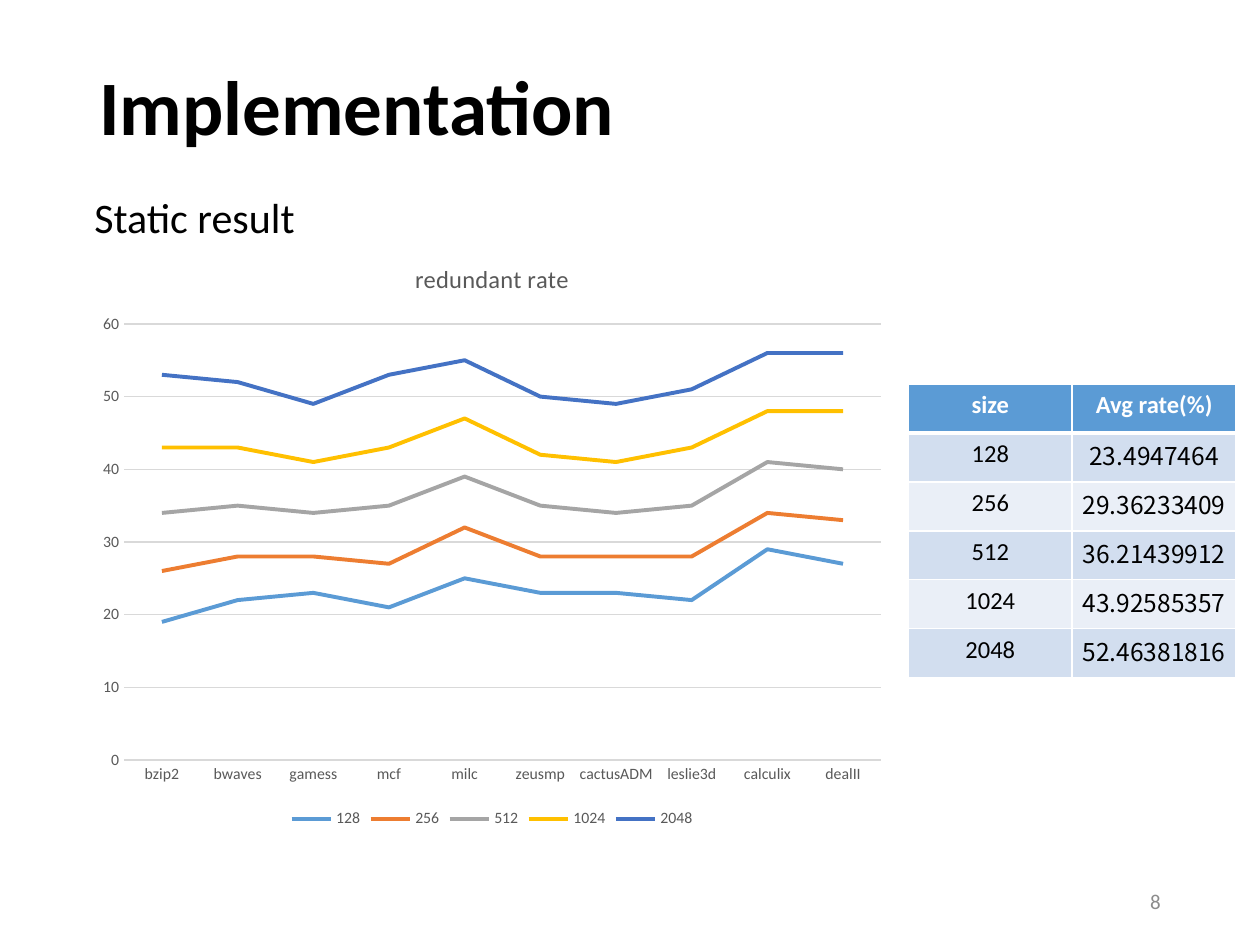
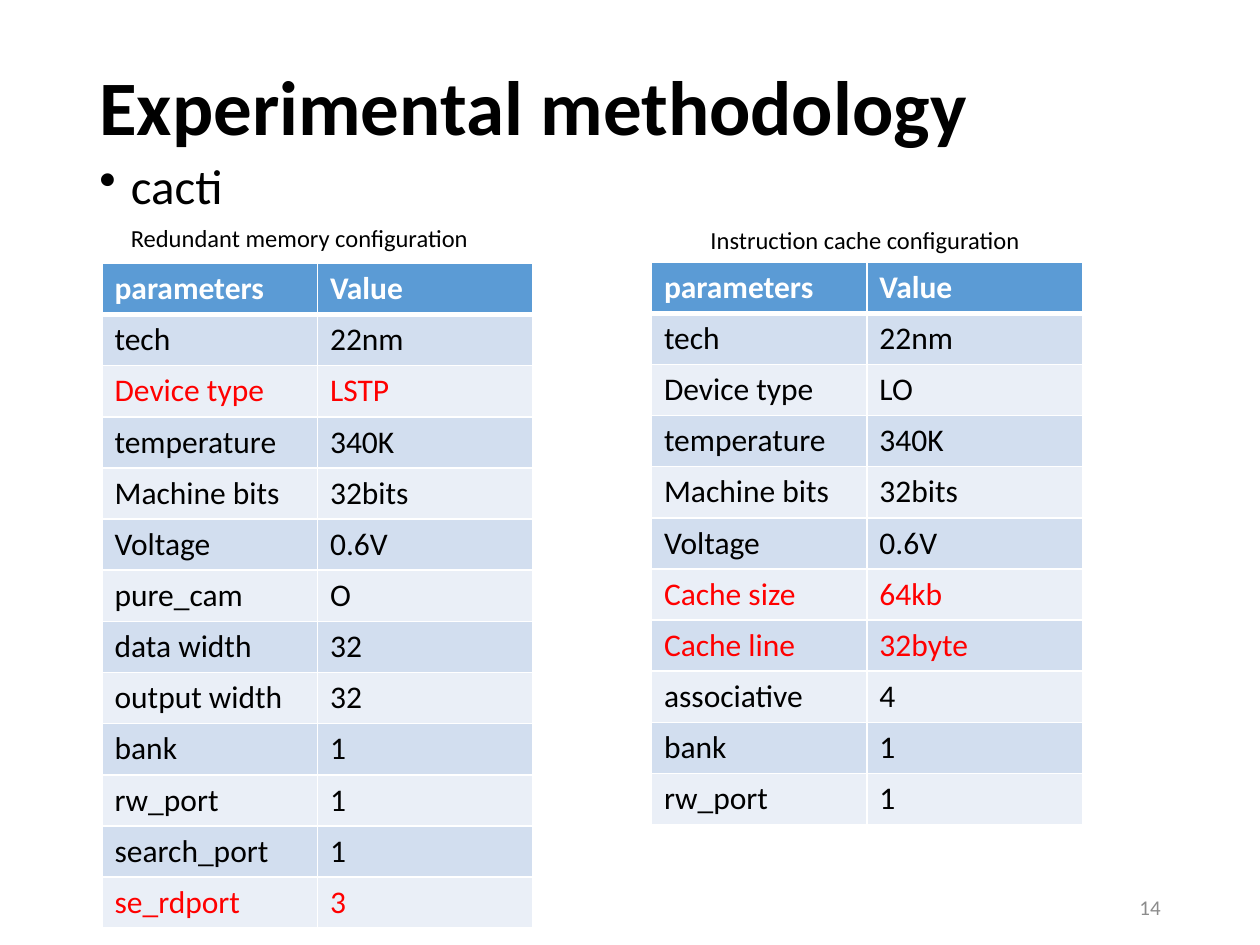
import lxml.etree
import pptx
import pptx.chart.data
import pptx.dml.color
import pptx.enum.chart
import pptx.enum.text
import pptx.oxml
import pptx.oxml.ns
import pptx.util

color = pptx.dml.color.RGBColor.from_string
points = pptx.util.Pt
align = pptx.enum.text.PP_ALIGN
anchors = pptx.enum.text.MSO_ANCHOR
chart_types = pptx.enum.chart

BLACK, WHITE, RED = "000000", "FFFFFF", "FF0000"
NUMBER_GRAY, LABEL_GRAY, GRID_GRAY = "8C8C8C", "595959", "D9D9D9"
HEADER_BLUE, BANDS = "5B9BD5", ("EAEFF7", "D2DEEF")
FONT, NUMERAL_FONT = "Calibri", "Noto Sans CJK KR"
NAMESPACE = "http://schemas.openxmlformats.org/drawingml/2006/main"

presentation = pptx.Presentation()
presentation.slide_width = pptx.util.Inches(10)
presentation.slide_height = pptx.util.Inches(7.5)

# The slide is a grid of 100 columns by 75 rows of square cells
CELL = presentation.slide_width // 100


def write(frame, text, size, text_color=BLACK, bold=False, font=FONT,
          alignment=align.LEFT, line_spacing=None):
    """Write one run into the first paragraph of a text frame."""
    paragraph = frame.paragraphs[0]
    paragraph.alignment = alignment
    paragraph.line_spacing = line_spacing
    run = paragraph.add_run()
    run.text = text
    run.font.size = points(size)
    run.font.name = font
    run.font.bold = bold
    run.font.color.rgb = color(text_color)
    return paragraph


def add_table(slide, left, top, column_width, row_height, rows, size,
              alignment=align.LEFT, red_rows=()):
    """Add a banded two-column table with white rules."""
    table = slide.shapes.add_table(
        len(rows), 2, int(left * CELL), int(top * CELL),
        int(2 * column_width * CELL), int(len(rows) * row_height * CELL)).table
    table.first_row = table.horz_banding = False
    for table_row in table.rows:
        table_row.height = int(row_height * CELL)
    for row_index, row in enumerate(rows):
        header = row_index == 0
        text_color = WHITE if header else RED if row[0] in red_rows else BLACK
        for column_index, text in enumerate(row):
            cell = table.cell(row_index, column_index)
            cell.fill.solid()
            cell.fill.fore_color.rgb = color(
                HEADER_BLUE if header else BANDS[row_index % 2])
            write(cell.text_frame, text, size, text_color, header,
                  alignment=alignment)
            # The rule under the header is heavier
            widths = {"lnL": 1, "lnR": 1, "lnT": 3 if row_index == 1 else 1,
                      "lnB": 3 if header else 1}
            properties = cell._tc.get_or_add_tcPr()
            for position, (side, width) in enumerate(widths.items()):
                properties.insert(position, pptx.oxml.parse_xml(
                    f'<a:{side} xmlns:a="{NAMESPACE}" w="{points(width)}">'
                    f'<a:solidFill><a:srgbClr val="{WHITE}"/></a:solidFill>'
                    f'</a:{side}>'))
    return table


# Shared title and page number
slides = []
for title, number, number_top in (("Implementation", "8", 69.5),
                                  ("Experimental methodology", "14", 70)):
    slide = presentation.slides.add_slide(presentation.slide_layouts[6])
    slides.append(slide)
    for text, place, style in (
            (title, (6.9, 3.9, 86.2, 9.8),
             dict(size=44, bold=True, line_spacing=0.9)),
            (number, (70.6, number_top, 22.5, 4),
             dict(size=12, text_color=NUMBER_GRAY, alignment=align.RIGHT))):
        shape = slide.shapes.add_textbox(*(int(side * CELL) for side in place))
        shape.text_frame.word_wrap = True
        shape.text_frame.vertical_anchor = anchors.MIDDLE
        write(shape.text_frame, text, **style)
result_slide, method_slide = slides

# Body lines, indented as left margin and first line in points
for slide, text, size, place, margin, indent in (
        (result_slide, "Static result", 24, (1.5, 15.2, 87.8, 38.6), 36, 0),
        (method_slide, "cacti", 28, (6.9, 12.4, 86.2, 61.1), 18, -18)):
    shape = slide.shapes.add_textbox(*(int(side * CELL) for side in place))
    shape.text_frame.word_wrap = True
    paragraph = write(shape.text_frame, text, size, line_spacing=0.9)
    properties = paragraph._p.get_or_add_pPr()
    properties.set("marL", str(points(margin)))
    properties.set("indent", str(points(indent)))
    if indent:
        lxml.etree.SubElement(
            properties, pptx.oxml.ns.qn("a:buChar")).set("char", "•")

# Line chart of redundant rate by program and size
chart_data = pptx.chart.data.CategoryChartData()
chart_data.categories = ["bzip2", "bwaves", "gamess", "mcf", "milc", "zeusmp",
                         "cactusADM", "leslie3d", "calculix", "dealII"]
rates = {
    "128": (19, 22, 23, 21, 25, 23, 23, 22, 29, 27),
    "256": (26, 28, 28, 27, 32, 28, 28, 28, 34, 33),
    "512": (34, 35, 34, 35, 39, 35, 34, 35, 41, 40),
    "1024": (43, 43, 41, 43, 47, 42, 41, 43, 48, 48),
    "2048": (53, 52, 49, 53, 55, 50, 49, 51, 56, 56),
}
for size_name, values in rates.items():
    chart_data.add_series(size_name, values)
chart = result_slide.shapes.add_chart(
    chart_types.XL_CHART_TYPE.LINE,
    *(int(side * CELL) for side in (6.9, 19, 64.3, 47.1)), chart_data).chart
chart.font.name = FONT
chart.font.size = points(10)
chart.has_title = True
write(chart.chart_title.text_frame, "redundant rate", 14, LABEL_GRAY,
      alignment=align.CENTER)
chart.chart_title.include_in_layout = False
chart.has_legend = True
chart.legend.position = chart_types.XL_LEGEND_POSITION.BOTTOM
chart.legend.include_in_layout = False
for part in (chart.legend.font, chart.category_axis.tick_labels.font,
             chart.value_axis.tick_labels.font):
    part.name = FONT
    part.size = points(9)
    part.color.rgb = color(LABEL_GRAY)
for axis in (chart.category_axis, chart.value_axis):
    axis.major_tick_mark = chart_types.XL_TICK_MARK.NONE
    axis.minor_tick_mark = chart_types.XL_TICK_MARK.NONE
chart.value_axis.minimum_scale = 0
chart.value_axis.maximum_scale = 60
chart.value_axis.major_unit = 10
chart.value_axis.format.line.fill.background()
for line in (chart.category_axis.format.line,
             chart.value_axis.major_gridlines.format.line):
    line.color.rgb = color(GRID_GRAY)
    line.width = points(0.75)
chart.plots[0].vary_by_categories = False
for series, line_color in zip(
        chart.plots[0].series,
        ("5B9BD5", "ED7D31", "A5A5A5", "FFC000", "4472C4")):
    series.smooth = False
    series.marker.style = chart_types.XL_MARKER_STYLE.NONE
    series.format.line.color.rgb = color(line_color)
    series.format.line.width = points(2.25)

# Average rate by size
average_table = add_table(
    result_slide, 72.1, 30.5, 13, 3.88,
    [("size", "Avg rate(%)"), ("128", "23.4947464"), ("256", "29.36233409"),
     ("512", "36.21439912"), ("1024", "43.92585357"),
     ("2048", "52.46381816")], 14, align.CENTER)
for row_index in range(1, len(average_table.rows)):
    cell = average_table.cell(row_index, 1)
    cell.vertical_anchor = anchors.MIDDLE
    cell.margin_left = cell.margin_right = cell.margin_top = CELL // 10
    cell.margin_bottom = CELL // 2
    cell.text_frame.paragraphs[0].runs[0].font.name = NUMERAL_FONT

# Configuration tables with their captions
shared_rows = [("parameters", "Value"), ("tech", "22nm")]
machine_rows = [("temperature", "340K"), ("Machine bits", "32bits"),
                ("Voltage", "0.6V")]
port_rows = [("bank", "1"), ("rw_port", "1")]
memory_rows = (
    shared_rows + [("Device type", "LSTP")] + machine_rows
    + [("pure_cam", "O"), ("data width", "32"), ("output width", "32")]
    + port_rows + [("search_port", "1"), ("se_rdport", "3")])
cache_rows = (
    shared_rows + [("Device type", "LO")] + machine_rows
    + [("Cache size", "64kb"), ("Cache line", "32byte"), ("associative", "4")]
    + port_rows)
for left, top, rows, red_rows, caption, caption_place in (
        (8.1, 20.9, memory_rows, ("Device type", "se_rdport"),
         "Redundant memory configuration", (9.4, 17.2, 29, 3.4)),
        (51.7, 20.8, cache_rows, ("Cache size", "Cache line"),
         "Instruction cache configuration", (55.4, 17.4, 26.8, 3.4))):
    add_table(method_slide, left, top, 17.1, 4.06, rows, 18, red_rows=red_rows)
    shape = method_slide.shapes.add_textbox(
        *(int(side * CELL) for side in caption_place))
    shape.text_frame.word_wrap = False
    write(shape.text_frame, caption, 14)

presentation.save("out.pptx")
